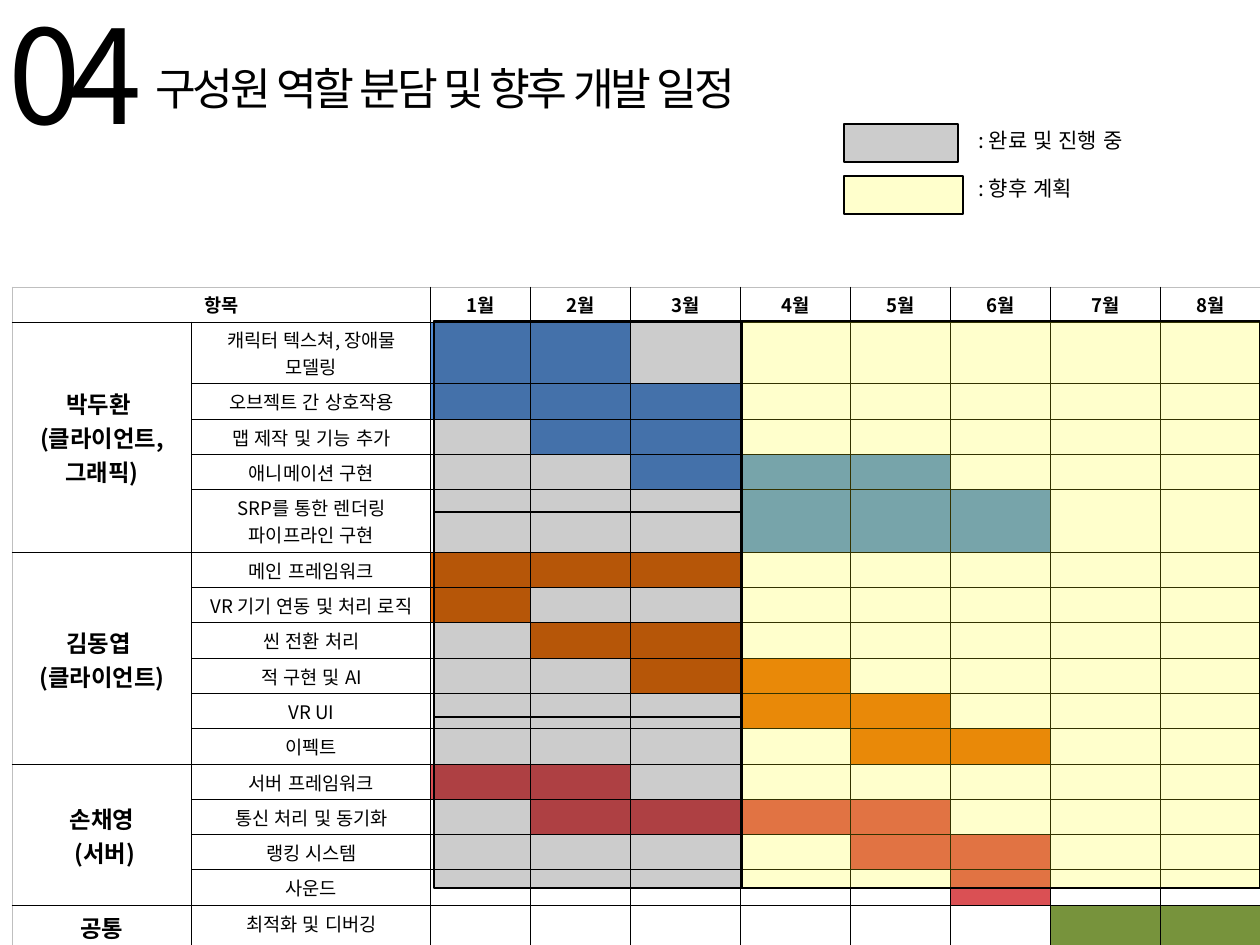
from itertools import pairwise

from lxml import etree
from pptx import Presentation
from pptx.dml.color import RGBColor
from pptx.enum.lang import MSO_LANGUAGE_ID
from pptx.enum.shapes import MSO_SHAPE
from pptx.enum.text import MSO_ANCHOR, PP_ALIGN
from pptx.oxml.ns import qn
from pptx.util import Emu, Pt

SCALE = 914400 // 84
FONT = "Noto Sans CJK KR"
KOREAN = MSO_LANGUAGE_ID.KOREAN
RECT = MSO_SHAPE.RECTANGLE
TOP, MIDDLE = MSO_ANCHOR.TOP, MSO_ANCHOR.MIDDLE
LEFT, CENTER, JUSTIFY = PP_ALIGN.LEFT, PP_ALIGN.CENTER, PP_ALIGN.JUSTIFY
BLACK, WHITE, GREY, YELLOW = "000000", "FFFFFF", "BFBFBF", "FFFF00"

COLS = [180, 239, 100, 100, 110, 110, 100, 100, 110, 100]
# Top of each table row, then the table's bottom
ROWS = [287, 322, 384, 420, 455, 490, 553, 588, 623, 659,
        694, 729, 765, 800, 835, 870, 906, 949]
# Each member: name lines, bar colour, tasks as (name, first month, last month)
TEAM = [
    ("박두환 \n(클라이언트, 그래픽)", "558ED5", [
        ("캐릭터 텍스쳐, 장애물 모델링", 1, 2),
        ("오브젝트 간 상호작용", 1, 3),
        ("맵 제작 및 기능 추가", 2, 3),
        ("애니메이션 구현", 3, 5),
        ("SRP를 통한 렌더링 파이프라인 구현", 4, 6)]),
    ("김동엽 \n(클라이언트)", "E46C0A", [
        ("메인 프레임워크", 1, 3),
        ("VR 기기 연동 및 처리 로직", 1, 1),
        ("씬 전환 처리", 2, 3),
        ("적 구현 및 AI", 3, 4),
        ("VR UI", 4, 5),
        ("이펙트", 5, 6)]),
    ("손채영\n (서버)", "DA5054", [
        ("서버 프레임워크", 1, 2),
        ("통신 처리 및 동기화", 2, 5),
        ("랭킹 시스템", 5, 6),
        ("사운드", 6, 6)]),
    ("공통", "77933C", [("최적화 및 디버깅", 7, 8)]),
]


def px(n):
    return Emu(n * SCALE)


def rgb(code):
    return RGBColor.from_string(code)


def write(frame, text, size=16, bold=False, align=CENTER, space=0):
    frame.word_wrap = True
    frame.text = text
    for para in frame.paragraphs:
        para.alignment = align
        for run in para.runs:
            font = run.font
            font.size, font.bold, font.name = Pt(size), bold, FONT
            font.language_id = KOREAN
            font.color.rgb = rgb(BLACK)
            props = font._element
            etree.SubElement(props, qn("a:ea")).set("typeface", FONT)
            if space:
                props.set("spc", str(space * 100))


def label(slide, box, text, **style):
    shape = slide.shapes.add_textbox(*map(px, box))
    write(shape.text_frame, text, **style)


def veil(slide, box, color):
    """Add an outlined rectangle with a 20 % opaque fill."""
    shape = slide.shapes.add_shape(RECT, *map(px, box))
    shape.shadow.inherit = False
    shape.fill.solid()
    shape.fill.fore_color.rgb = rgb(color)
    tint = shape.fill._xPr.find(qn("a:solidFill"))[0]
    etree.SubElement(tint, qn("a:alpha")).set("val", "20000")
    shape.line.color.rgb = rgb(BLACK)
    shape.line.width = Pt(2.25)


def edge(cell, row, col):
    """Draw the four borders; the table's top and left edges are pale."""
    props = cell._tc.get_or_add_tcPr()
    pale = {"L": col == 0, "T": row == 0}
    for i, side in enumerate("LRTB"):
        line = etree.Element(qn(f"a:ln{side}"), w=str(Pt(1)))
        fill = etree.SubElement(line, qn("a:solidFill"))
        tint = GREY if pale.get(side) else BLACK
        etree.SubElement(fill, qn("a:srgbClr")).set("val", tint)
        props.insert(i, line)


def style(table):
    """Give every cell a white fill, borders and a small empty line."""
    for r, row in enumerate(table.rows):
        for c, cell in enumerate(row.cells):
            cell.fill.solid()
            cell.fill.fore_color.rgb = rgb(WHITE)
            edge(cell, r, c)
            para = cell.text_frame.paragraphs[0]._p
            etree.SubElement(para, qn("a:endParaRPr")).set("sz", "1000")


def plan(slide):
    box = (12, ROWS[0], sum(COLS), ROWS[-1] - ROWS[0])
    frame = slide.shapes.add_table(len(ROWS) - 1, len(COLS), *map(px, box))
    table = frame.table
    table.first_row = table.horz_banding = False
    for col, wide in zip(table.columns, COLS):
        col.width = px(wide)
    for row, (top, end) in zip(table.rows, pairwise(ROWS)):
        row.height = px(end - top)
    style(table)

    table.cell(0, 0).merge(table.cell(0, 1))
    write(table.cell(0, 0).text_frame, "항목", bold=True)
    for month in range(1, 9):
        write(table.cell(0, month + 1).text_frame, f"{month}월", bold=True)

    row = 1
    for name, color, tasks in TEAM:
        head = table.cell(row, 0)
        if len(tasks) > 1:
            head.merge(table.cell(row + len(tasks) - 1, 0))
        write(head.text_frame, name, size=20, bold=True)
        head.vertical_anchor = MIDDLE
        for task, first, last in tasks:
            write(table.cell(row, 1).text_frame, task)
            for month in range(first, last + 1):
                table.cell(row, month + 1).fill.fore_color.rgb = rgb(color)
            row += 1


def title(slide, box, text, **form):
    shape = slide.shapes.title
    shape.left, shape.top, shape.width, shape.height = map(px, box)
    write(shape.text_frame, text, **form)
    shape.text_frame.vertical_anchor = TOP


def main():
    deck = Presentation()
    deck.slide_width, deck.slide_height = px(1260), px(945)
    slide = deck.slides.add_slide(deck.slide_layouts[5])

    title(slide, (147, 57, 651, 73), "구성원 역할 분담 및 향후 개발 일정",
          size=38, align=JUSTIFY, space=-3)
    label(slide, (0, -10, 184, 207), "04", size=112, align=JUSTIFY, space=-10)
    plan(slide)

    for top, high in ((717, 171), (512, 205), (321, 191)):
        veil(slide, (434, top, 308, high), BLACK)
    veil(slide, (742, 321, 518, 567), YELLOW)

    veil(slide, (844, 176, 119, 38), YELLOW)
    veil(slide, (844, 124, 114, 38), BLACK)
    for top, text in ((123, ": 완료 및 진행 중"), (171, ": 향후 계획")):
        label(slide, (970, top, 280, 34), text, size=18, align=LEFT)
    deck.save("out.pptx")


if __name__ == "__main__":
    main()
